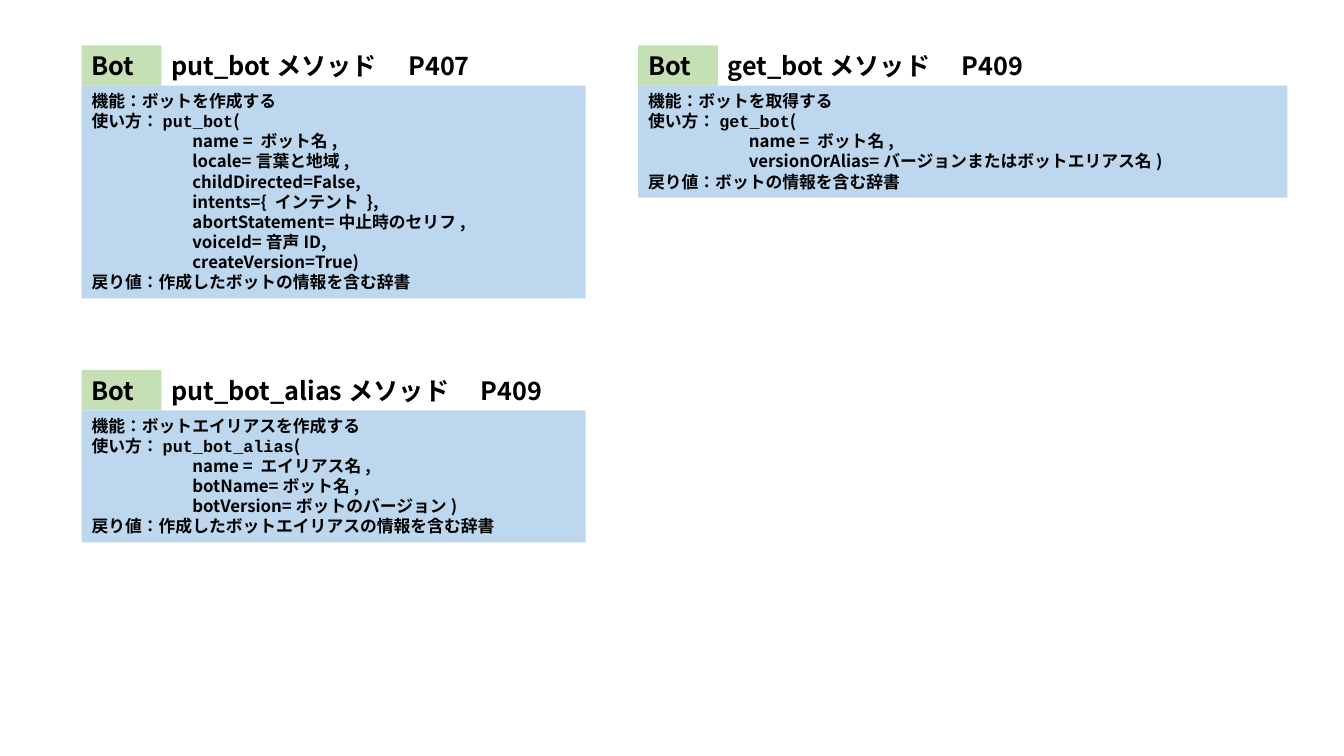
import pptx
import pptx.dml.color
import pptx.enum.lang
import pptx.enum.shapes
import pptx.enum.text
import pptx.oxml.ns
import pptx.util
from lxml import etree

COLORS = {"tag": "C5E0B4", "body": "BDD7EE", "text": "000000"}
FONT, CODE_FONT = "Noto Sans CJK JP", "Courier New"
SLIDE_WIDTH, SLIDE_HEIGHT = 13.33, 7.5
COLUMNS = (0.81, 6.33)
ROWS = (0.45, 3.67)
TAG_WIDTH, TITLE_WIDTH, HEADER_HEIGHT = 0.79, 4.47, 0.4
LINE_HEIGHT, BODY_PADDING = 0.2, 0.11
ARGUMENT_TAB = 1

METHODS = [
    {"column": 0, "row": 0, "width": 5, "name": "put_bot", "page": "P407",
     "purpose": "ボットを作成する",
     "arguments": ["name = ボット名,", "locale=言葉と地域,", "childDirected=False,",
                   "intents={ インテント },", "abortStatement=中止時のセリフ,",
                   "voiceId=音声ID,", "createVersion=True)"],
     "result": "作成したボットの情報を含む辞書"},
    {"column": 1, "row": 0, "width": 6.44, "name": "get_bot", "page": "P409",
     "purpose": "ボットを取得する",
     "arguments": ["name = ボット名,", "versionOrAlias=バージョンまたはボットエリアス名)"],
     "result": "ボットの情報を含む辞書"},
    {"column": 0, "row": 1, "width": 5, "name": "put_bot_alias", "page": "P409",
     "purpose": "ボットエイリアスを作成する",
     "arguments": ["name = エイリアス名,", "botName=ボット名,", "botVersion=ボットのバージョン)"],
     "result": "作成したボットエイリアスの情報を含む辞書"},
]


def set_font(font, name):
    """Set the Latin and East Asian typefaces of a font."""
    font.name = name
    font.language_id = pptx.enum.lang.MSO_LANGUAGE_ID.JAPANESE
    latin = font._element.find(pptx.oxml.ns.qn("a:latin"))
    east_asian = etree.Element(pptx.oxml.ns.qn("a:ea"), typeface=name)
    latin.addnext(east_asian)


def set_tab(paragraph):
    """Place the tab stop where method arguments begin."""
    tabs = etree.Element(pptx.oxml.ns.qn("a:tabLst"))
    etree.SubElement(tabs, pptx.oxml.ns.qn("a:tab"),
                     pos=str(pptx.util.Inches(ARGUMENT_TAB)), algn="l")
    paragraph.font._element.addprevious(tabs)


def write_lines(frame, lines, size):
    """Write one paragraph per line, each a list of text pieces with the second as code."""
    frame.word_wrap = True
    frame.auto_size = pptx.enum.text.MSO_AUTO_SIZE.SHAPE_TO_FIT_TEXT
    frame.vertical_anchor = pptx.enum.text.MSO_ANCHOR.TOP
    for index, pieces in enumerate(lines):
        paragraph = frame.add_paragraph() if index else frame.paragraphs[0]
        paragraph.alignment = pptx.enum.text.PP_ALIGN.LEFT
        paragraph.font.size = pptx.util.Pt(size)
        paragraph.font.bold = True
        paragraph.font.color.rgb = pptx.dml.color.RGBColor.from_string(COLORS["text"])
        set_font(paragraph.font, FONT)
        if pieces[0].startswith("\t"):
            set_tab(paragraph)
        for position, piece in enumerate(pieces):
            run = paragraph.add_run()
            run.text = piece
            if position == 1:
                set_font(run.font, CODE_FONT)


def add_panel(slide, box, color, lines, size):
    """Add a filled rectangle holding lines of text."""
    panel = slide.shapes.add_shape(
        pptx.enum.shapes.MSO_SHAPE.RECTANGLE, *map(pptx.util.Inches, box))
    panel.shadow.inherit = False
    panel.fill.solid()
    panel.fill.fore_color.rgb = pptx.dml.color.RGBColor.from_string(COLORS[color])
    panel.line.fill.background()
    write_lines(panel.text_frame, lines, size)


def add_title(slide, box, text):
    """Add the heading beside a tag."""
    title = slide.shapes.add_textbox(*map(pptx.util.Inches, box))
    write_lines(title.text_frame, [[text]], 18)


def add_method(slide, method):
    """Add the tag, description and heading of one method."""
    left, top = COLUMNS[method["column"]], ROWS[method["row"]]
    lines = [["機能：" + method["purpose"]],
             ["使い方：", method["name"], "("],
             *[["\t" + argument] for argument in method["arguments"]],
             ["戻り値：" + method["result"]]]
    body_height = LINE_HEIGHT * len(lines) + BODY_PADDING
    add_panel(slide, (left, top, TAG_WIDTH, HEADER_HEIGHT), "tag", [["Bot"]], 18)
    add_panel(slide, (left, top + HEADER_HEIGHT, method["width"], body_height),
              "body", lines, 12)
    add_title(slide, (left + TAG_WIDTH, top, TITLE_WIDTH, HEADER_HEIGHT),
              f"{method['name']}メソッド　{method['page']}")


def main():
    """Build the method reference slide."""
    deck = pptx.Presentation()
    deck.slide_width = pptx.util.Inches(SLIDE_WIDTH)
    deck.slide_height = pptx.util.Inches(SLIDE_HEIGHT)
    slide = deck.slides.add_slide(deck.slide_layouts[6])
    for method in METHODS:
        add_method(slide, method)
    deck.save("out.pptx")


if __name__ == "__main__":
    main()
